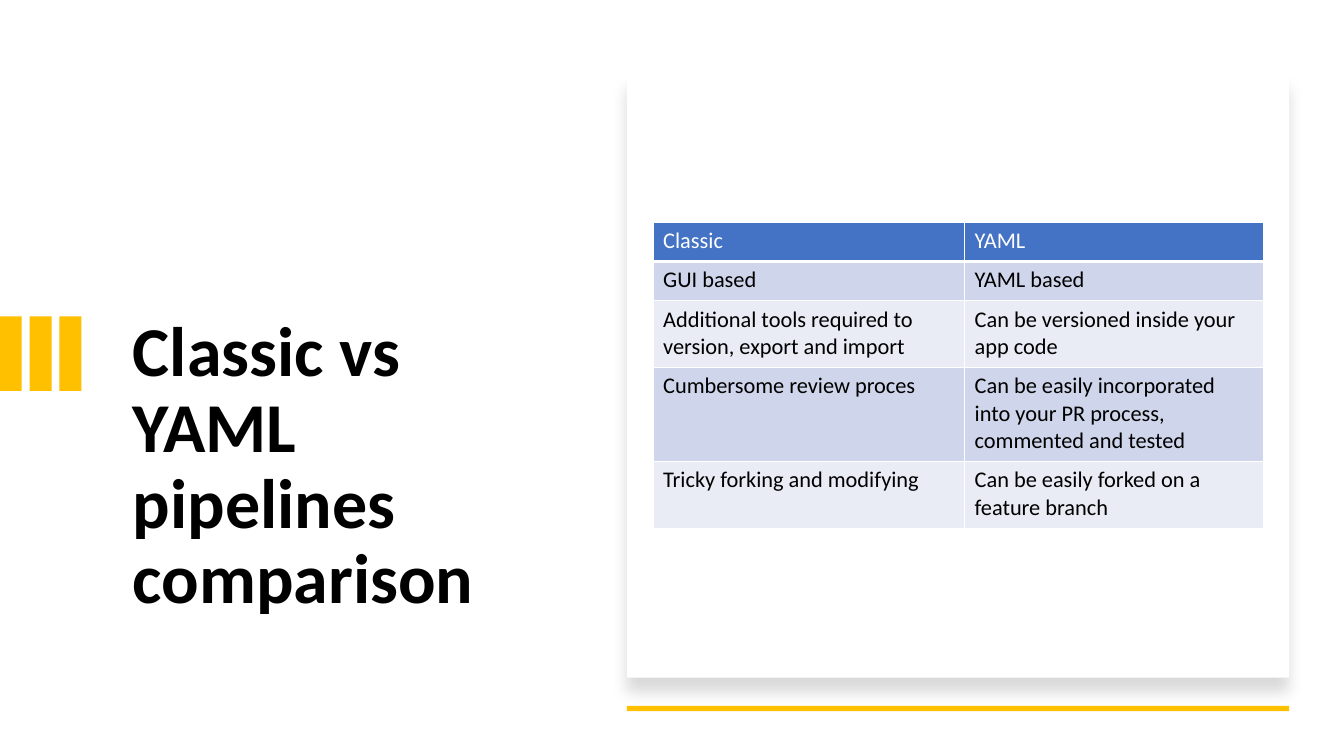
from lxml import etree
from pptx import Presentation
from pptx.dml.color import RGBColor
from pptx.enum.shapes import MSO_SHAPE
from pptx.enum.text import MSO_ANCHOR
from pptx.oxml.ns import qn
from pptx.util import Cm, Pt

RECT = MSO_SHAPE.RECTANGLE
TOP = MSO_ANCHOR.TOP

FONT = "Calibri"
WHITE = RGBColor(0xFF, 0xFF, 0xFF)
BLACK = RGBColor(0x00, 0x00, 0x00)
YELLOW = RGBColor(0xFF, 0xC0, 0x00)
HEADER = RGBColor(0x44, 0x72, 0xC4)
BAND_DARK = RGBColor(0xCF, 0xD5, 0xEA)
BAND_LIGHT = RGBColor(0xE9, 0xEB, 0xF5)

SLIDE_W, SLIDE_H = 33.87, 19.05
CARD_X, CARD_W = 15.8, 16.69

COL_WIDTHS = [7.85, 7.53]
ROW_HEIGHTS = [0.99, 0.99, 1.68, 2.37, 1.68]
COMPARISON = [
    ("Classic", "YAML"),
    ("GUI based", "YAML based"),
    ("Additional tools required to version, export and import",
     "Can be versioned inside your app code"),
    ("Cumbersome review proces",
     "Can be easily incorporated into your PR process, commented and tested"),
    ("Tricky forking and modifying", "Can be easily forked on a feature branch"),
]


def add_rect(shapes, x, y, w, h, color):
    sp = shapes.add_shape(RECT, Cm(x), Cm(y), Cm(w), Cm(h))
    sp.shadow.inherit = False
    sp.fill.solid()
    sp.fill.fore_color.rgb = color
    sp.line.fill.background()
    return sp


def write_text(tf, text, *, size, color=BLACK, bold=False, spacing=None):
    tf.word_wrap = True
    p = tf.paragraphs[0]
    p.line_spacing = spacing
    r = p.add_run()
    r.text = text
    r.font.name = FONT
    r.font.size = Pt(size)
    r.font.bold = bold
    r.font.color.rgb = color


def add_color(parent, color):
    return etree.SubElement(parent, qn("a:srgbClr"), val=str(color))


def add_shadow(sp, *, blur, distance, opacity):
    """Cast a soft shadow straight down."""
    effects = sp._element.spPr.find(qn("a:effectLst"))
    shadow = etree.SubElement(
        effects, qn("a:outerShdw"), blurRad=str(Pt(blur)),
        dist=str(Pt(distance)), dir="5400000", algn="t", rotWithShape="0")
    etree.SubElement(add_color(shadow, BLACK), qn("a:alpha"),
                     val=str(opacity * 1000))


def set_borders(cell, bottom):
    tc_pr = cell._tc.get_or_add_tcPr()
    widths = {"a:lnL": 1, "a:lnR": 1, "a:lnT": 1, "a:lnB": bottom}
    for i, (tag, width) in enumerate(widths.items()):
        ln = etree.Element(qn(tag), w=str(Pt(width)))
        add_color(etree.SubElement(ln, qn("a:solidFill")), WHITE)
        tc_pr.insert(i, ln)  # borders come before the fill


def add_comparison_table(shapes, x, y):
    table = shapes.add_table(
        len(ROW_HEIGHTS), len(COL_WIDTHS), Cm(x), Cm(y),
        Cm(sum(COL_WIDTHS)), Cm(sum(ROW_HEIGHTS))).table
    for column, width in zip(table.columns, COL_WIDTHS):
        column.width = Cm(width)
    for row, height in zip(table.rows, ROW_HEIGHTS):
        row.height = Cm(height)
    for i, texts in enumerate(COMPARISON):
        is_header = i == 0
        band = BAND_DARK if i % 2 else BAND_LIGHT
        for j, text in enumerate(texts):
            cell = table.cell(i, j)
            cell.fill.solid()
            cell.fill.fore_color.rgb = HEADER if is_header else band
            set_borders(cell, bottom=3 if is_header else 1)
            write_text(cell.text_frame, text, size=16,
                       color=WHITE if is_header else BLACK)


def add_title(shapes, text):
    tf = shapes.add_textbox(Cm(3.1), Cm(7.85), Cm(11.2), Cm(6.63)).text_frame
    tf.vertical_anchor = TOP
    write_text(tf, text, size=50, bold=True, spacing=0.9)


def main():
    prs = Presentation()
    prs.slide_width, prs.slide_height = Cm(SLIDE_W), Cm(SLIDE_H)
    s = prs.slides.add_slide(prs.slide_layouts[6])

    # Background and title
    add_rect(s.shapes, 0, 0, SLIDE_W, SLIDE_H, WHITE)
    add_title(s.shapes, "Classic vs YAML pipelines comparison")

    # Accent bars at the left edge
    bars = s.shapes.add_group_shape()
    for i in range(3):
        add_rect(bars.shapes, i * 0.75, 7.97, 0.55, 1.88, YELLOW)

    # Card with its underline
    card = add_rect(s.shapes, CARD_X, 1.88, CARD_W, 15.2, WHITE)
    add_shadow(card, blur=11, distance=10, opacity=15)
    add_rect(s.shapes, CARD_X, 17.79, CARD_W, 0.13, YELLOW)

    # Comparison table
    add_comparison_table(s.shapes, 16.46, 5.6)

    prs.save("out.pptx")


if __name__ == "__main__":
    main()
